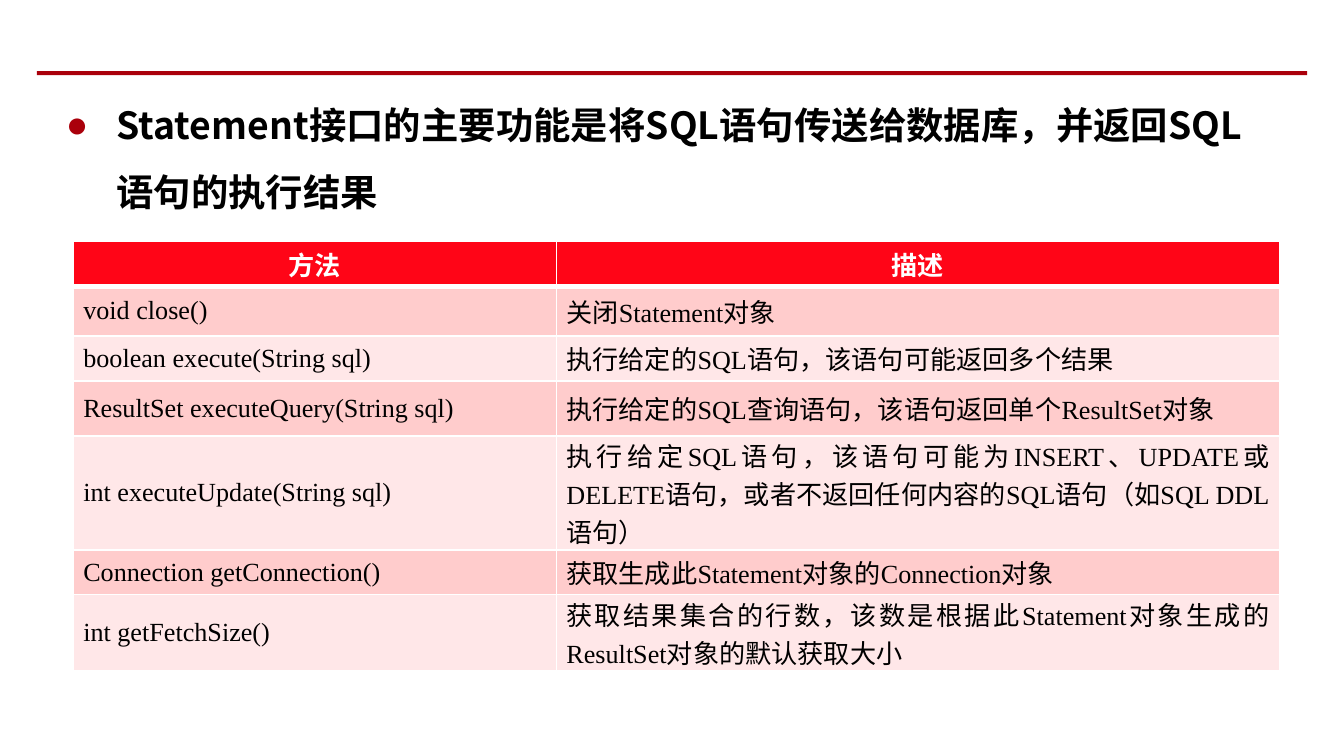
from lxml.etree import SubElement
from pptx import Presentation
from pptx.dml.color import RGBColor
from pptx.enum.shapes import MSO_SHAPE
from pptx.enum.text import MSO_ANCHOR, MSO_AUTO_SIZE, PP_ALIGN
from pptx.oxml import parse_xml
from pptx.oxml.ns import nsdecls, qn
from pptx.util import Emu, Pt

EMU_PER_PX = 4572  # 200 px to the inch
RED, BRIGHT_RED, WHITE, BLACK = "AA000B", "FF0517", "FFFFFF", "000000"
BANDS = ["FFCCCC", "FFE7E8"]
CJK_FONT, LATIN_FONT, MIXED_FONT = "Noto Sans CJK SC", "Times New Roman", "Arial"

STATEMENT = "Statement接口的主要功能是将SQL语句传送给数据库，并返回SQL语句的执行结果"
COLUMN_WIDTHS = [719, 1076]
ROW_HEIGHTS = [67, 74, 67, 82, 166, 66, 110]
HEADERS = [("方法", "Calibri"), ("描述", LATIN_FONT)]
# A bar divides Chinese text from Latin names, in turn
METHODS = [
    ("void close()", "关闭|Statement|对象"),
    ("boolean execute(String sql) ", "执行给定的|SQL|语句，该语句可能返回多个结果"),
    ("ResultSet executeQuery(String sql)",
     "执行给定的|SQL|查询语句，该语句返回单个|ResultSet|对象"),
    ("int executeUpdate(String sql)",
     "执行给定SQL语句，该语句可能为INSERT、UPDATE或DELETE语句，"
     "或者不返回任何内容的SQL语句（如SQL DDL语句）"),
    ("Connection getConnection()", "获取生成此|Statement|对象的|Connection|对象"),
    ("int getFetchSize()",
     "获取结果集合的行数，该数是根据此Statement对象生成的ResultSet对象的默认获取大小"),
]


def px(length):
    return Emu(length * EMU_PER_PX)


def color(hex_value):
    return RGBColor.from_string(hex_value)


def set_attributes(target, values):
    for name, value in values.items():
        setattr(target, name, value)


def place(left, top, width, height):
    return {"left": px(left), "top": px(top), "width": px(width), "height": px(height)}


def add_span(para, text, font, size, hex_value, bold):
    span = para.add_run()
    span.text = text
    set_attributes(span.font, {"name": font, "size": Pt(size), "bold": bold})
    span.font.color.rgb = color(hex_value)
    SubElement(span.font._element, qn("a:ea"), typeface=CJK_FONT)


def add_rule(page):
    rule = page.shapes.add_shape(MSO_SHAPE.RECTANGLE, **place(55, 106, 1890, 6))
    rule.shadow.inherit = False
    rule.fill.solid()
    rule.fill.fore_color.rgb = color(RED)
    rule.line.fill.background()


def fill_body(box):
    set_attributes(box, place(78, 109, 1796, 250))
    set_attributes(box.text_frame, {"word_wrap": True, "auto_size": MSO_AUTO_SIZE.NONE,
                                    "vertical_anchor": MSO_ANCHOR.TOP})
    para = box.text_frame.paragraphs[0]
    set_attributes(para, {"line_spacing": 1.5, "space_before": Pt(4)})
    add_span(para, STATEMENT, CJK_FONT, 20, BLACK, True)
    # Hanging red bullet
    properties = para._p.get_or_add_pPr()
    properties.set("marL", str(px(75)))
    properties.set("indent", str(px(-75)))
    bullet_color = SubElement(properties, qn("a:buClr"))
    SubElement(bullet_color, qn("a:srgbClr"), val=RED)
    SubElement(properties, qn("a:buChar"), char="●")


def set_borders(cell, top, bottom):
    widths = {"lnL": 1, "lnR": 1, "lnT": top, "lnB": bottom}
    for position, (side, width) in enumerate(widths.items()):
        border = parse_xml(
            f'<a:{side} {nsdecls("a")} w="{Pt(width)}"><a:solidFill>'
            f'<a:srgbClr val="{WHITE}"/></a:solidFill></a:{side}>')
        cell._tc.get_or_add_tcPr().insert(position, border)


def fill_cell(cell, spans, fill, align, hex_value, bold, top=1, bottom=1):
    set_attributes(cell, {"margin_left": px(15), "margin_right": px(15), "margin_top": 0,
                          "margin_bottom": 0, "vertical_anchor": MSO_ANCHOR.MIDDLE})
    cell.fill.solid()
    cell.fill.fore_color.rgb = color(fill)
    set_borders(cell, top, bottom)
    para = cell.text_frame.paragraphs[0]
    para.alignment = align
    for text, font in spans:
        add_span(para, text, font, 14, hex_value, bold)


def split_spans(text):
    pieces = text.split("|")
    if len(pieces) == 1:
        return [(text, LATIN_FONT)]
    return [(piece, (MIXED_FONT, LATIN_FONT)[index % 2])
            for index, piece in enumerate(pieces)]


def add_method_table(page):
    area = place(109, 359, sum(COLUMN_WIDTHS), sum(ROW_HEIGHTS))
    table = page.shapes.add_table(len(ROW_HEIGHTS), len(COLUMN_WIDTHS), **area).table
    for column, width in zip(table.columns, COLUMN_WIDTHS):
        column.width = px(width)
    for row, height in zip(table.rows, ROW_HEIGHTS):
        row.height = px(height)
    # Header row
    for cell, header in zip(table.rows[0].cells, HEADERS):
        fill_cell(cell, [header], BRIGHT_RED, PP_ALIGN.CENTER, WHITE, True, bottom=3)
    # Banded method rows
    for index, texts in enumerate(METHODS):
        for cell, text in zip(table.rows[index + 1].cells, texts):
            fill_cell(cell, split_spans(text), BANDS[index % 2], PP_ALIGN.JUSTIFY,
                      BLACK, False, top=1 if index else 3)


def main():
    deck = Presentation()
    set_attributes(deck, {"slide_width": px(2000), "slide_height": px(1125)})
    page = deck.slides.add_slide(deck.slide_layouts[1])
    title = page.shapes.title._element
    title.getparent().remove(title)
    add_rule(page)
    fill_body(page.placeholders[1])
    add_method_table(page)
    deck.save("out.pptx")


if __name__ == "__main__":
    main()
